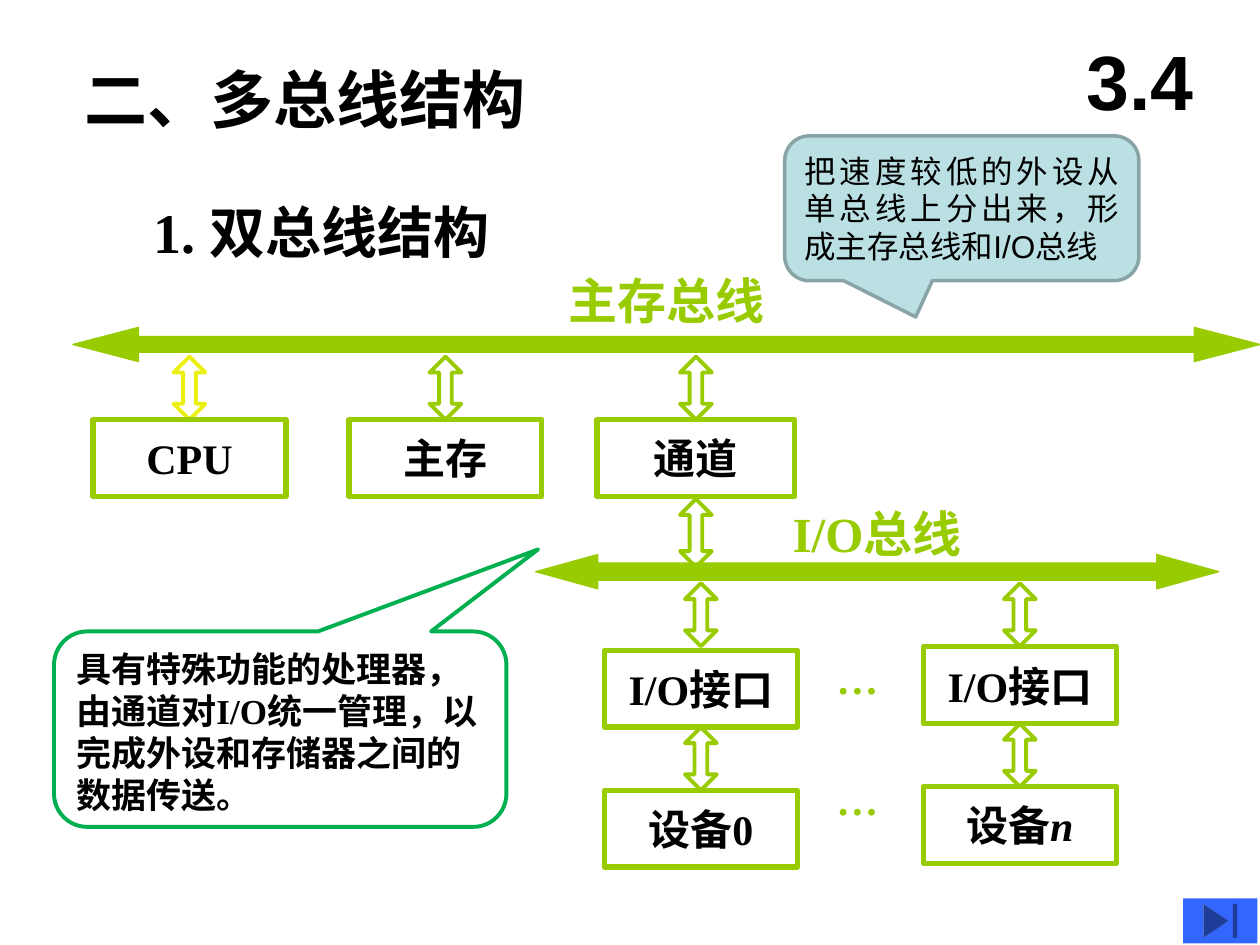
from dataclasses import dataclass

from lxml import etree
from pptx import Presentation
from pptx.dml.color import RGBColor
from pptx.enum.shapes import MSO_SHAPE
from pptx.enum.text import MSO_ANCHOR, PP_ALIGN
from pptx.oxml.ns import qn
from pptx.util import Cm, Pt

RECTANGLE = MSO_SHAPE.RECTANGLE
CALLOUT = MSO_SHAPE.ROUNDED_RECTANGULAR_CALLOUT
BUS_ARROW = MSO_SHAPE.LEFT_RIGHT_ARROW
LINK_ARROW = MSO_SHAPE.UP_DOWN_ARROW
END_BUTTON = MSO_SHAPE.ACTION_BUTTON_END
TOP = MSO_ANCHOR.TOP
MIDDLE = MSO_ANCHOR.MIDDLE
LEFT = PP_ALIGN.LEFT
CENTER = PP_ALIGN.CENTER
JUSTIFY = PP_ALIGN.JUSTIFY


@dataclass(frozen=True)
class Theme:
    text: str = "000000"
    bus: str = "99CC00"
    cpu_link: str = "EBF010"
    note_line: str = "00B050"
    tip_fill: str = "BBE0E3"
    tip_line: str = "89A4A7"
    button: str = "3366FF"
    serif: str = "Times New Roman"
    sans: str = "Arial"
    chinese: str = "Noto Sans CJK SC"
    section_size: int = 44
    heading_size: int = 36
    subheading_size: int = 32
    bus_size: int = 28
    box_size: int = 24
    note_size: int = 20
    tip_size: int = 18


THEME = Theme()
BOX_WIDTH, BOX_HEIGHT = 3.89, 1.55
LINK_WIDTH, LINK_HEIGHT = 0.64, 1.27


def add_run(paragraph, text, font_name, **font_format):
    run = paragraph.add_run()
    run.text = text
    run.font.name = font_name
    color = font_format.pop("color", THEME.text)
    run.font.color.rgb = RGBColor.from_string(color)
    for name, value in font_format.items():
        setattr(run.font, name, value)
    east_asian = etree.SubElement(run.font._element, qn("a:ea"))
    east_asian.set("typeface", THEME.chinese)


def write_text(shape, text, size, font_name=THEME.serif, color=THEME.text, bold=True,
               align=LEFT, anchor=TOP, margins=(0.25, 0.13), italic_tail=""):
    frame = shape.text_frame
    horizontal, vertical = (Cm(margin) for margin in margins)
    frame_format = {
        "word_wrap": True, "vertical_anchor": anchor,
        "margin_left": horizontal, "margin_right": horizontal,
        "margin_top": vertical, "margin_bottom": vertical,
    }
    for name, value in frame_format.items():
        setattr(frame, name, value)
    font_format = {"size": Pt(size), "bold": bold, "color": color}
    for index, line in enumerate(text.split("\n")):
        paragraph = frame.add_paragraph() if index else frame.paragraphs[0]
        paragraph.alignment = align
        add_run(paragraph, line, font_name, **font_format)
    if italic_tail:
        add_run(paragraph, italic_tail, font_name, italic=True, **font_format)


def add_text(slide, bounds, text, size, **text_format):
    shape = slide.shapes.add_textbox(*map(Cm, bounds))
    write_text(shape, text, size, **text_format)


def add_figure(slide, kind, bounds, fill=None, line=None, width=1, adjustments=()):
    shape = slide.shapes.add_shape(kind, *map(Cm, bounds))
    shape.shadow.inherit = False
    for index, value in enumerate(adjustments):
        shape.adjustments[index] = value
    for part, color in ((shape.fill, fill), (shape.line.fill, line)):
        if color:
            part.solid()
            part.fore_color.rgb = RGBColor.from_string(color)
        else:
            part.background()
    if line:
        shape.line.width = Pt(width)
    return shape


def add_box(slide, center, top, text, width=BOX_WIDTH, italic_tail=""):
    bounds = (center - width / 2, top, width, BOX_HEIGHT)
    shape = add_figure(slide, RECTANGLE, bounds, line=THEME.bus, width=3)
    write_text(shape, text, THEME.box_size, align=CENTER, anchor=MIDDLE,
               margins=(0, 0), italic_tail=italic_tail)


def add_link(slide, center, top, height=LINK_HEIGHT, color=THEME.bus):
    bounds = (center - LINK_WIDTH / 2, top, LINK_WIDTH, height)
    add_figure(slide, LINK_ARROW, bounds, line=color, width=2.25, adjustments=(0.5, 0.4))


def add_bus(slide, left, top, width, adjustments):
    add_figure(slide, BUS_ARROW, (left, top, width, 0.69), THEME.bus, THEME.bus,
               0.75, adjustments)


def add_main_memory_side(slide):
    channel_center = 14.03
    units = (
        (3.82, "CPU", BOX_WIDTH, THEME.cpu_link),
        (8.98, "主存", BOX_WIDTH, THEME.bus),
        (channel_center, "通道", 3.99, THEME.bus),
    )
    for center, name, width, color in units:
        add_link(slide, center, 7.19, color=color)
        add_box(slide, center, 8.46, name, width)
    add_link(slide, channel_center, 10.06, height=1.37)


def add_device_side(slide):
    row_pitch = BOX_HEIGHT + LINK_HEIGHT
    for center, top, number, italic_tail in ((14.13, 13.11, "0", ""), (20.56, 13.04, "", "n")):
        add_link(slide, center, 11.76)
        add_box(slide, center, top, "I/O接口")
        add_link(slide, center, top + BOX_HEIGHT)
        add_box(slide, center, top + row_pitch, "设备" + number, italic_tail=italic_tail)
    for top in (13.03, 15.47):
        add_text(slide, (16.61, top, 1.35, 1.27), "…", THEME.box_size, color=THEME.bus)


def add_buses(slide):
    bus_label = {"size": THEME.bus_size, "color": THEME.bus, "margins": (0, 0)}
    add_text(slide, (11.46, 5.46, 6.76, 1.19), "主存总线", **bus_label)
    add_text(slide, (15.98, 10.16, 5.61, 1.19), "I/O总线", **bus_label)
    add_bus(slide, 1.47, 6.6, 23.93, (0.46, 1.92))
    add_bus(slide, 10.8, 11.18, 13.77, (0.5, 1.81))


def add_callouts(slide):
    note = add_figure(slide, CALLOUT, (1.09, 12.73, 9.12, 3.94), line=THEME.note_line,
                      width=2.25, adjustments=(0.57, -0.92, 0.17))
    write_text(note, "具有特殊功能的处理器，\n由通道对I/O统一管理，以完成外设和存储器之间的数据传送。",
               THEME.note_size)
    tip = add_figure(slide, CALLOUT, (15.82, 2.74, 7.14, 2.92), THEME.tip_fill,
                     THEME.tip_line, 2, (-0.13, 0.75, 0.17))
    write_text(tip, "把速度较低的外设从单总线上分出来，形成主存总线和I/O总线", THEME.tip_size,
               font_name=THEME.sans, bold=False, align=JUSTIFY, anchor=MIDDLE)


def add_headings(slide):
    add_text(slide, (1.45, 1.09, 9.55, 1.78), "二、多总线结构", THEME.heading_size)
    add_text(slide, (2.84, 3.86, 7.65, 1.63), "1. 双总线结构", THEME.subheading_size)
    add_text(slide, (21.39, 0.43, 3.18, 2.34), "3.4", THEME.section_size,
             font_name=THEME.sans, align=CENTER, anchor=MIDDLE)


def main():
    presentation = Presentation()
    presentation.slide_width = Cm(25.4)
    presentation.slide_height = Cm(19.05)
    slide = presentation.slides.add_slide(presentation.slide_layouts[6])
    add_headings(slide)
    add_main_memory_side(slide)
    add_device_side(slide)
    add_buses(slide)
    add_callouts(slide)
    add_figure(slide, END_BUTTON, (23.85, 18.11, 1.5, 0.91), fill=THEME.button)
    presentation.save("out.pptx")


if __name__ == "__main__":
    main()
